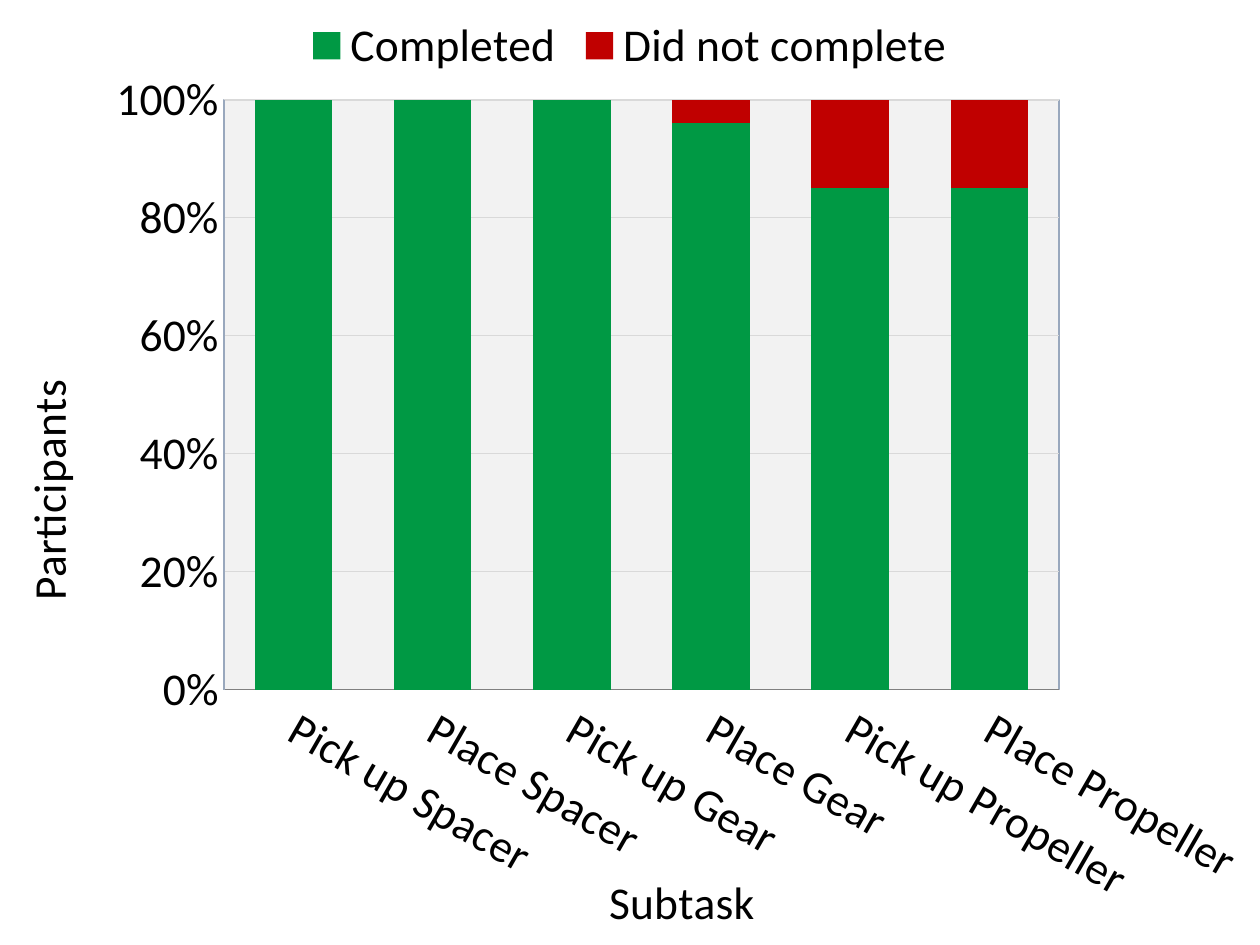
from dataclasses import dataclass

import lxml.etree
import pptx
import pptx.chart.data
import pptx.dml.color
import pptx.enum.chart
import pptx.oxml
import pptx.oxml.ns
import pptx.util

WIDTH, HEIGHT = 1260, 945
EMU_PER_PIXEL = 914400 / 126
FONT = "Calibri"
COLORS = {
    "text": "000000",
    "completed": "009944",
    "missed": "C00000",
    "plot": "F2F2F2",
    "grid": "D9D9D9",
    "subtask_line": "808080",
    "share_line": "99A8BD",
}
SUBTASKS = [
    f"{action} {part}"
    for part in ("Spacer", "Gear", "Propeller")
    for action in ("Pick up", "Place")
]
qn = pptx.oxml.ns.qn


@dataclass(frozen=True)
class Outcome:
    name: str
    shares: tuple[float, ...]
    color: str


@dataclass(frozen=True)
class AxisStyle:
    title: str
    left: int
    top: int
    title_degrees: int
    label_degrees: int
    line: str


COMPLETED = (1, 1, 1, 0.96, 0.85, 0.85)
OUTCOMES = (
    Outcome("Completed", COMPLETED, "completed"),
    Outcome("Did not complete", tuple(round(1 - share, 2) for share in COMPLETED), "missed"),
)
SUBTASK_STYLE = AxisStyle("Subtask", 601, 863, 0, 30, "subtask_line")
SHARE_STYLE = AxisStyle("Participants", 9, 372, -90, 0, "share_line")


def emu(pixels: int) -> int:
    return round(pixels * EMU_PER_PIXEL)


def rgb(color: str) -> pptx.dml.color.RGBColor:
    return pptx.dml.color.RGBColor.from_string(COLORS[color])


def style_font(font) -> None:
    font.name = FONT
    font.size = pptx.util.Pt(26)
    font.bold = False
    font.color.rgb = rgb("text")


def style_line(line, color: str) -> None:
    line.color.rgb = rgb(color)
    line.width = pptx.util.Pt(0.75)


def place(element, index: int, **settings: str | float) -> None:
    for old in element.findall(qn("c:layout")):
        element.remove(old)
    layout = lxml.etree.Element(qn("c:layout"))
    manual = lxml.etree.SubElement(layout, qn("c:manualLayout"))
    for tag, value in settings.items():
        lxml.etree.SubElement(manual, qn(f"c:{tag}")).set("val", str(value))
    element.insert(index, layout)


def rotate(body, degrees: int) -> None:
    body.set("rot", str(degrees * 60000))
    body.set("vert", "horz")


def style_axis(axis, style: AxisStyle) -> None:
    axis.major_tick_mark = pptx.enum.chart.XL_TICK_MARK.NONE
    axis.minor_tick_mark = pptx.enum.chart.XL_TICK_MARK.NONE
    style_font(axis.tick_labels.font)
    style_line(axis.format.line, style.line)
    rotate(axis._element.find(f"{qn('c:txPr')}/{qn('a:bodyPr')}"), style.label_degrees)
    frame = axis.axis_title.text_frame
    frame.text = style.title
    style_font(frame.paragraphs[0].runs[0].font)
    rotate(frame._txBody.find(qn("a:bodyPr")), style.title_degrees)
    place(
        axis.axis_title._element, 1, xMode="edge", yMode="edge",
        x=style.left / WIDTH, y=style.top / HEIGHT,
    )


def style_plot_area(area) -> None:
    place(
        area, 0, layoutTarget="inner", xMode="edge", yMode="edge",
        x=224 / WIDTH, y=100 / HEIGHT, w=835 / WIDTH, h=590 / HEIGHT,
    )
    area.append(pptx.oxml.parse_xml(
        f'<c:spPr {pptx.oxml.ns.nsdecls("c", "a")}>'
        f'<a:solidFill><a:srgbClr val="{COLORS["plot"]}"/></a:solidFill>'
        f'<a:ln w="9525"><a:solidFill><a:srgbClr val="{COLORS["share_line"]}"/>'
        '</a:solidFill></a:ln></c:spPr>'
    ))


def add_completion_chart(slide) -> None:
    data = pptx.chart.data.CategoryChartData(number_format="0%")
    data.categories = SUBTASKS
    for outcome in OUTCOMES:
        data.add_series(outcome.name, outcome.shares)
    chart = slide.shapes.add_chart(
        pptx.enum.chart.XL_CHART_TYPE.COLUMN_STACKED,
        0, 0, emu(WIDTH), emu(HEIGHT), data,
    ).chart
    chart.has_title = False
    style_font(chart.font)

    plot = chart.plots[0]
    plot.gap_width = 80
    plot.overlap = 100
    plot.vary_by_categories = False
    for series, outcome in zip(plot.series, OUTCOMES):
        series.format.fill.solid()
        series.format.fill.fore_color.rgb = rgb(outcome.color)
        series.format.line.fill.background()

    style_axis(chart.category_axis, SUBTASK_STYLE)
    chart.category_axis.tick_label_position = pptx.enum.chart.XL_TICK_LABEL_POSITION.LOW
    shares = chart.value_axis
    style_axis(shares, SHARE_STYLE)
    shares.minimum_scale = 0
    shares.maximum_scale = 1
    shares.major_unit = 0.2
    shares.has_major_gridlines = True
    style_line(shares.major_gridlines.format.line, "grid")
    shares.tick_labels.number_format = "0%"
    shares.tick_labels.number_format_is_linked = False

    chart.has_legend = True
    chart.legend.position = pptx.enum.chart.XL_LEGEND_POSITION.TOP
    chart.legend.include_in_layout = False
    style_font(chart.legend.font)
    style_plot_area(chart._chartSpace.find(f"{qn('c:chart')}/{qn('c:plotArea')}"))


presentation = pptx.Presentation()
presentation.slide_width = emu(WIDTH)
presentation.slide_height = emu(HEIGHT)
add_completion_chart(presentation.slides.add_slide(presentation.slide_layouts[6]))
presentation.save("out.pptx")
